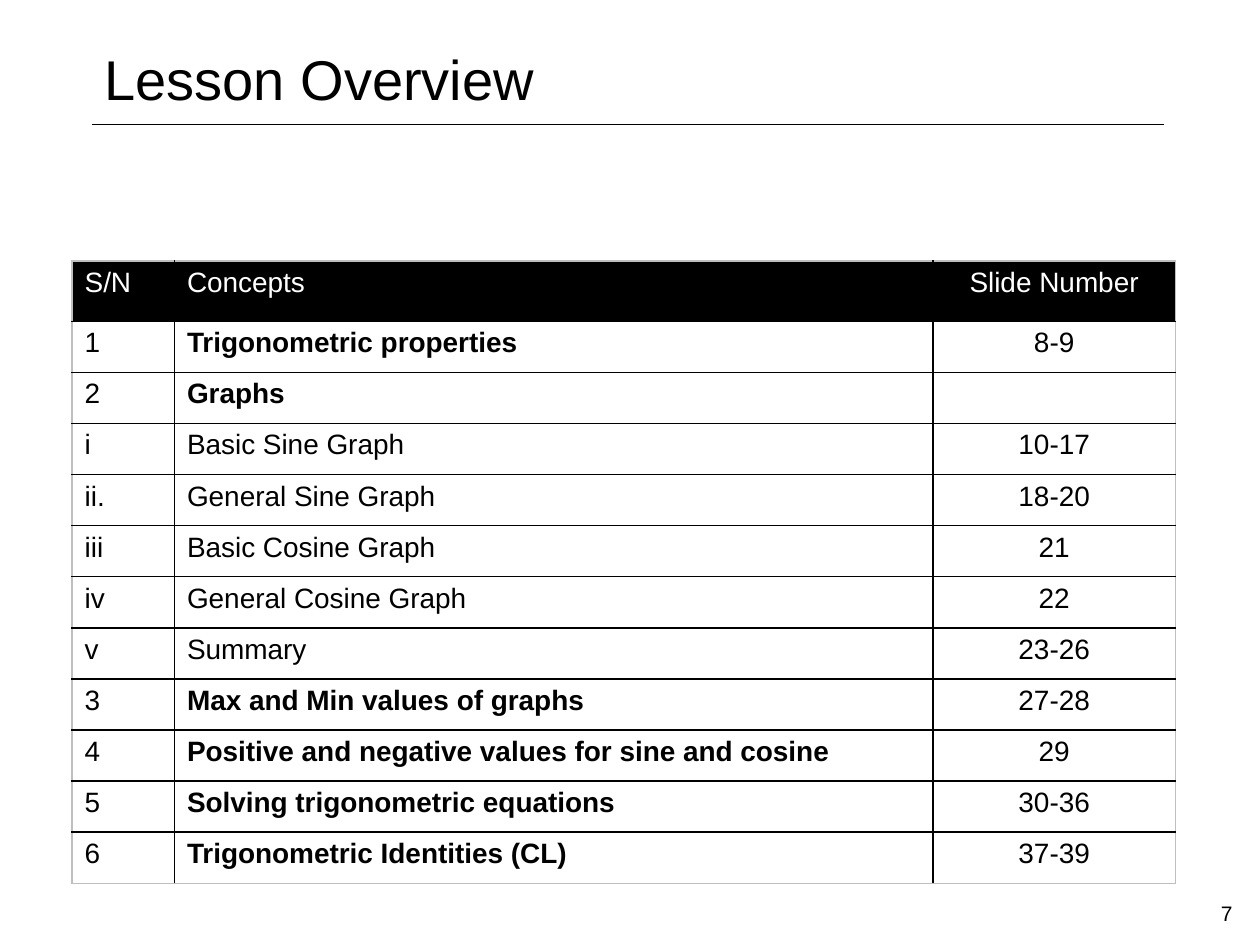
import pptx
import pptx.dml.color
import pptx.enum.shapes
import pptx.enum.text
import pptx.oxml
import pptx.oxml.ns
import pptx.util

Pt = pptx.util.Pt
ALIGN = pptx.enum.text.PP_ALIGN
ANCHOR = pptx.enum.text.MSO_ANCHOR

TITLE = "Lesson Overview"
PAGE_NUMBER = "7"
HEADER = ("S/N", "Concepts", "Slide Number")
# Serial number, concept, slide numbers, main topic
LESSONS = [
    ("1", "Trigonometric properties", "8-9", True),
    ("2", "Graphs", "", True),
    ("i", "Basic Sine Graph", "10-17", False),
    ("ii.", "General Sine Graph", "18-20", False),
    ("iii", "Basic Cosine Graph", "21", False),
    ("iv", "General Cosine Graph", "22", False),
    ("v", "Summary", "23-26", False),
    ("3", "Max and Min values of graphs", "27-28", True),
    ("4", "Positive and negative values for sine and cosine", "29", True),
    ("5", "Solving trigonometric equations", "30-36", True),
    ("6", "Trigonometric Identities (CL)", "37-39", True),
]
COLUMN_WIDTHS = (58.5, 433.5, 138.5)
HEADER_HEIGHT, ROW_HEIGHT = 34.4, 29.2
TABLE_LEFT, TABLE_TOP = 41.2, 149.2
BLACK, WHITE, GRAY = "000000", "FFFFFF", "BFBFBF"


def color(value):
    return pptx.dml.color.RGBColor.from_string(value)


def write(frame, text, size=16, fill=BLACK, bold=False, align=ALIGN.LEFT, anchor=ANCHOR.TOP):
    frame.word_wrap = True
    frame.vertical_anchor = anchor
    paragraph = frame.paragraphs[0]
    paragraph.alignment = align
    paragraph.font.size = Pt(size)
    if text:
        run = paragraph.add_run()
        run.text = text
        run.font.name = "Arial"
        run.font.size = Pt(size)
        run.font.bold = bold
        run.font.color.rgb = color(fill)


def set_borders(cell, edges):
    """Draw cell edges, given as (tag, colour, width) in left, right, top, bottom order."""
    properties = cell._tc.get_or_add_tcPr()
    for index, (tag, value, width) in enumerate(edges):
        properties.insert(index, pptx.oxml.parse_xml(
            f'<a:{tag} {pptx.oxml.ns.nsdecls("a")} w="{Pt(width)}">'
            f'<a:solidFill><a:srgbClr val="{value}"/></a:solidFill></a:{tag}>'))


def add_rule(slide):
    rule = slide.shapes.add_connector(
        pptx.enum.shapes.MSO_CONNECTOR.STRAIGHT, Pt(52.5), Pt(71.2), Pt(665.2), Pt(71.2))
    rule.line.color.rgb = color(BLACK)
    rule.line.width = Pt(0.25)
    rule._element.spPr.append(
        pptx.oxml.parse_xml(f'<a:effectLst {pptx.oxml.ns.nsdecls("a")}/>'))


def add_lesson_table(slide):
    rows = [(*HEADER, False)] + LESSONS
    heights = [HEADER_HEIGHT] + [ROW_HEIGHT] * len(LESSONS)
    table = slide.shapes.add_table(
        len(rows), len(HEADER), Pt(TABLE_LEFT), Pt(TABLE_TOP),
        Pt(sum(COLUMN_WIDTHS)), Pt(sum(heights))).table
    for column, width in zip(table.columns, COLUMN_WIDTHS):
        column.width = Pt(width)
    inner, outer = (BLACK, 1), (GRAY, 1)
    last_row, last_column = len(rows) - 1, len(HEADER) - 1
    for r, (*texts, main_topic) in enumerate(rows):
        table.rows[r].height = Pt(heights[r])
        for c, text in enumerate(texts):
            cell = table.cell(r, c)
            cell.fill.solid()
            cell.fill.fore_color.rgb = color(WHITE if r else BLACK)
            write(cell.text_frame, text, fill=BLACK if r else WHITE,
                  bold=main_topic and c == 1,
                  align=ALIGN.CENTER if c == last_column else ALIGN.LEFT)
            set_borders(cell, [
                ("lnL", *(inner if c else outer)),
                ("lnR", *(inner if c < last_column else outer)),
                ("lnT", *(inner if r else outer)),
                ("lnB", *(inner if r < last_row else outer)),
            ])


def main():
    presentation = pptx.Presentation()
    presentation.slide_width, presentation.slide_height = Pt(720), Pt(540)
    slide = presentation.slides.add_slide(presentation.slide_layouts[5])

    title = slide.shapes.title
    title.left, title.top, title.width, title.height = Pt(52.5), Pt(21), Pt(489), Pt(47.5)
    write(title.text_frame, TITLE, size=32, anchor=ANCHOR.MIDDLE)

    add_rule(slide)
    page_number = slide.shapes.add_textbox(Pt(690.5), Pt(511.2), Pt(29.5), Pt(28.8))
    write(page_number.text_frame, PAGE_NUMBER, size=12)
    add_lesson_table(slide)
    presentation.save("out.pptx")


if __name__ == "__main__":
    main()
